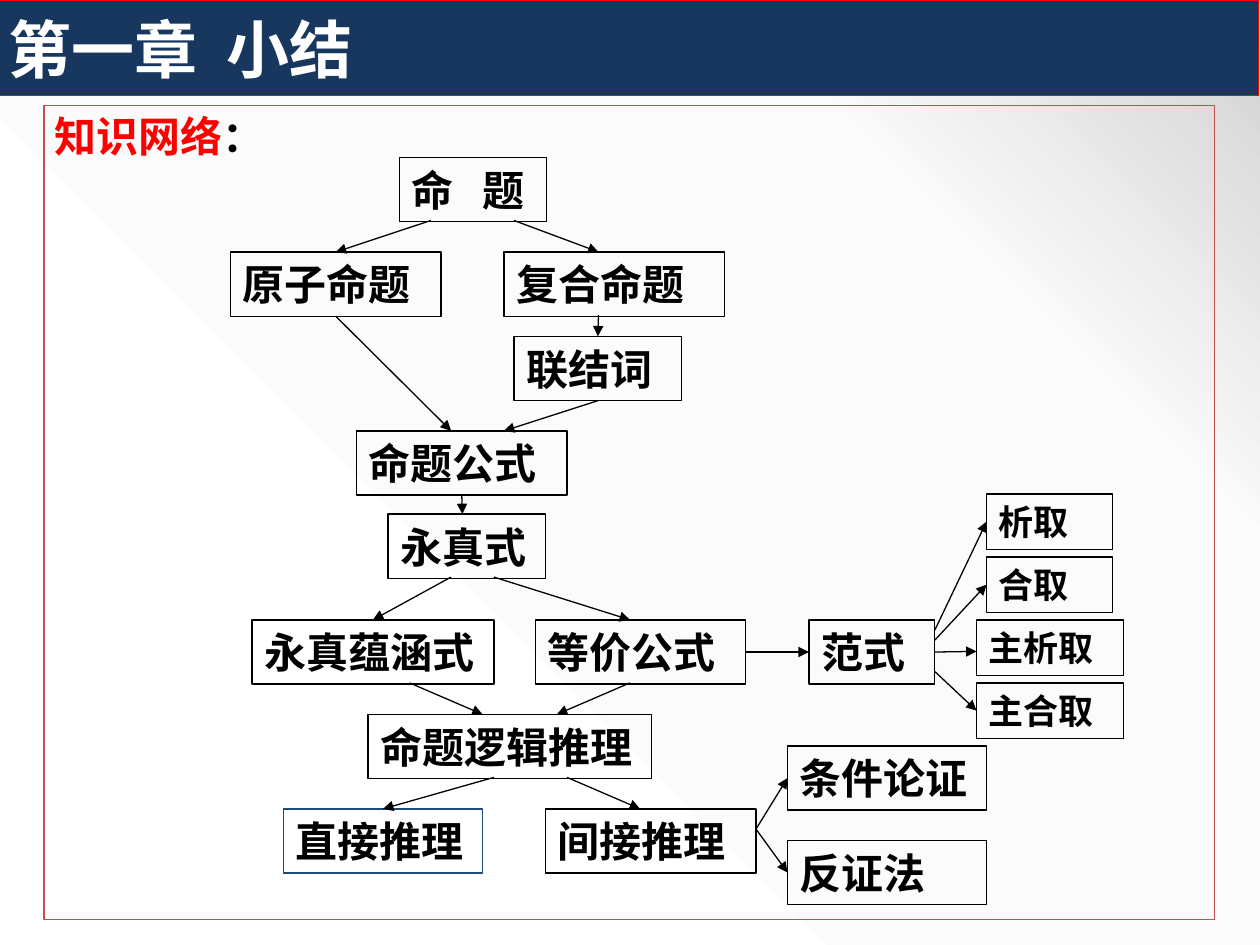
from copy import deepcopy
from lxml.etree import SubElement as Sub
from pptx import Presentation
from pptx.dml.color import RGBColor as Rgb
from pptx.enum.shapes import MSO_CONNECTOR as Conn, MSO_SHAPE as Kind
from pptx.enum.text import MSO_ANCHOR as Anchor, PP_ALIGN as Align
from pptx.oxml.ns import qn
from pptx.util import Inches, Pt

HUES = {"navy": "17375E", "red": "FF0000", "brick": "C0504D", "blue": "1F497D",
        "black": "000000", "white": "FFFFFF", "pale": "FBFBFB", "grey": "D0D0D0"}
SANS = "Noto Sans CJK SC"
TOP, LEFT, BOTTOM, RIGHT = range(4)

NODES = [
    ("命   题", 3.17, 1.25, 1.17),
    ("原子命题", 1.83, 2, 1.67),
    ("复合命题", 4, 2, 1.75),
    ("联结词", 4.08, 2.67, 1.33),
    ("命题公式", 2.83, 3.42, 1.67),
    ("永真式", 3.08, 4.08, 1.25),
    ("永真蕴涵式", 2, 4.92, 1.92),
    ("等价公式", 4.25, 4.92, 1.67),
    ("范式", 6.42, 4.92, 1),
    ("命题逻辑推理", 2.92, 5.67, 2.25),
    ("直接推理", 2.25, 6.42, 1.58),
    ("间接推理", 4.33, 6.42, 1.67),
    ("条件论证", 6.25, 5.92, 1.58),
    ("反证法", 6.25, 6.67, 1.58),
]
FORMS = [
    ("析取", 7.83, 3.92, 1),
    ("合取", 7.83, 4.42, 1),
    ("主析取", 7.75, 4.92, 1.17),
    ("主合取", 7.75, 5.42, 1.17),
]
ARROWS = [
    ((3.42, 1.75), ("原子命题", TOP)),
    ((4.08, 1.75), (4.75, 2)),
    ((4.75, 2.5), ("联结词", TOP)),
    (("原子命题", BOTTOM), (3.58, 3.42)),
    (("联结词", BOTTOM), (4, 3.42)),
    (("命题公式", BOTTOM), (3.67, 4.08)),
    ((3.58, 4.58), ("永真蕴涵式", TOP)),
    ((3.92, 4.58), (5, 4.92)),
    ((3.25, 5.42), (3.83, 5.67)),
    ((5, 5.42), (4.42, 5.67)),
    ((3.92, 6.17), ("直接推理", TOP)),
    ((4.5, 6.17), (5.08, 6.42)),
    ((6, 6.58), ("条件论证", LEFT)),
    ((6, 6.58), ("反证法", LEFT)),
    (("等价公式", RIGHT), ("范式", LEFT)),
    (("范式", RIGHT), (7.75, 5.17)),
    ((7.42, 5), ("析取", LEFT)),
    ((7.42, 5.08), ("合取", LEFT)),
    ((7.42, 5.33), ("主合取", LEFT)),
]


def hue(name):
    return Rgb.from_string(HUES[name])


def write(par, text, size=24, color="black", font="Times New Roman"):
    run = par.add_run()
    run.text = text
    run.font.size = Pt(size)
    run.font.bold = True
    run.font.name = font
    run.font.color.rgb = hue(color)
    Sub(run.font._element, qn("a:ea"), typeface=SANS)


class Board:
    def __init__(self, slide):
        self.slide = slide
        self.width = Pt(0.75)
        self.nodes = {}

    def shade(self, stops):
        fill = self.slide.background.fill
        fill.gradient()
        fill.gradient_angle = 45
        first = self.slide.element.find(".//" + qn("a:gs"))
        first.addnext(deepcopy(first))
        for stop, (place, name) in zip(fill.gradient_stops, stops):
            stop.position = place
            stop.color.rgb = hue(name)

    def panel(self, left, top, width, height, line="black", fill=None,
              anchor=Anchor.MIDDLE, pad=(0.1, 0.05)):
        shape = self.slide.shapes.add_shape(
            Kind.RECTANGLE, *map(Inches, (left, top, width, height)))
        shape.shadow.inherit = False
        if fill:
            shape.fill.solid()
            shape.fill.fore_color.rgb = hue(fill)
        else:
            shape.fill.background()
        shape.line.color.rgb = hue(line)
        shape.line.width = self.width
        frame = shape.text_frame
        frame.word_wrap = True
        frame.vertical_anchor = anchor
        frame.margin_left = frame.margin_right = Inches(pad[0])
        frame.margin_top = frame.margin_bottom = Inches(pad[1])
        frame.paragraphs[0].alignment = Align.LEFT
        return shape

    def node(self, text, left, top, width, height=0.51, size=24):
        line = "blue" if text == "直接推理" else "black"
        shape = self.panel(left, top, width, height, line)
        write(shape.text_frame.paragraphs[0], text, size=size)
        self.nodes[text] = shape

    def arrow(self, start, end):
        line = self.slide.shapes.add_connector(Conn.STRAIGHT, 0, 0, 0, 0)
        if start[0] in self.nodes:
            line.begin_connect(self.nodes[start[0]], start[1])
        else:
            line.begin_x, line.begin_y = map(Inches, start)
        if end[0] in self.nodes:
            line.end_connect(self.nodes[end[0]], end[1])
        else:
            line.end_x, line.end_y = map(Inches, end)
        line.line.color.rgb = hue("black")
        line.line.width = self.width
        props = line._element.spPr
        Sub(props.find(qn("a:ln")), qn("a:tailEnd"), type="triangle")
        Sub(props, qn("a:effectLst"))


def main():
    deck = Presentation()
    deck.slide_width, deck.slide_height = Inches(10), Inches(7.5)
    board = Board(deck.slides.add_slide(deck.slide_layouts[6]))
    board.shade([(0, "white"), (0.75, "pale"), (1, "grey")])

    pad = (0.08, 0.04)
    title = board.panel(-0.01, 0, 10, 0.76, "red", "navy", pad=pad)
    write(title.text_frame.paragraphs[0], "第一章  小结", size=36,
          color="white", font=SANS)
    body = board.panel(0.35, 0.84, 9.29, 6.46, "brick", anchor=Anchor.TOP, pad=pad)
    par = body.text_frame.paragraphs[0]
    write(par, "知识网络", color="red", font=SANS)
    write(par, "：", font=SANS)

    for item in NODES:
        board.node(*item)
    for item in FORMS:
        board.node(*item, height=0.44, size=20)
    for start, end in ARROWS:
        board.arrow(start, end)
    deck.save("out.pptx")


if __name__ == "__main__":
    main()
